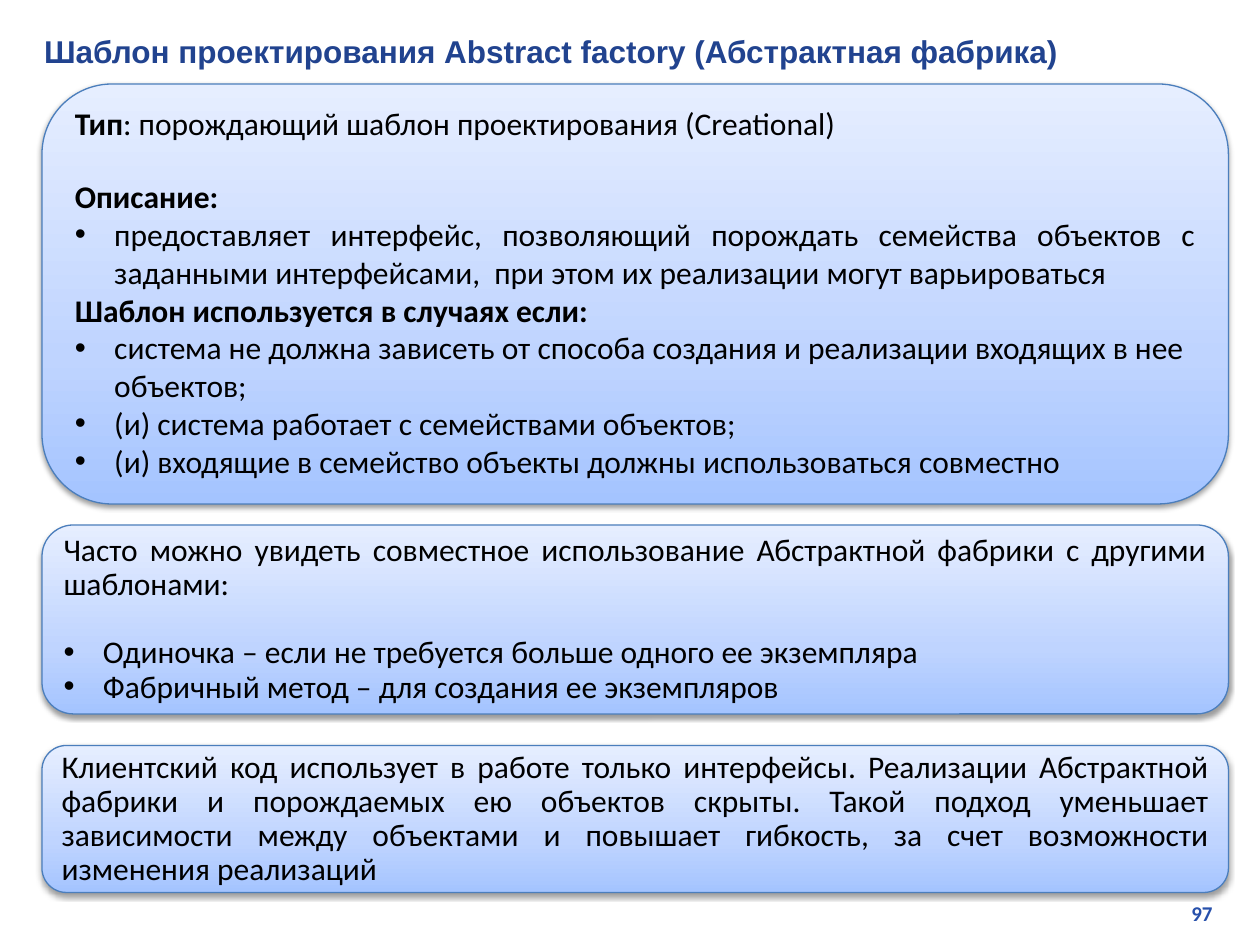
"""Build a slide on the Abstract Factory design pattern."""
from lxml import etree
from pptx import Presentation
from pptx import util as u
from pptx.dml.color import RGBColor
from pptx.enum import shapes, text
from pptx.oxml import ns

BLACK = RGBColor(0x00, 0x00, 0x00)
TITLE_BLUE = RGBColor(0x21, 0x43, 0x8F)
NUMBER_BLUE = RGBColor(0x27, 0x50, 0xAB)
LINE_BLUE = RGBColor(0x4B, 0x7E, 0xBC)
GRADIENT = [
    (0, RGBColor(0xA4, 0xC4, 0xFF)),
    (35, RGBColor(0xBF, 0xD4, 0xFF)),
    (100, RGBColor(0xE6, 0xEE, 0xFF)),
]

TITLE = "Шаблон проектирования Abstract factory (Абстрактная фабрика)"
PAGE_NUMBER = "97"

JUSTIFY, LEFT, RIGHT = text.PP_ALIGN.JUSTIFY, text.PP_ALIGN.LEFT, text.PP_ALIGN.RIGHT
BLANK_LINE = u.Pt(19.8)
INDENT = u.Pt(22.5)
BOX_LEFT, BOX_WIDTH = 24, 678

TITLE_FONT = {"name": "Arial", "size": u.Pt(18), "bold": True}
NUMBER_FONT = {"name": "Calibri", "size": u.Pt(12), "bold": True}
BODY_FONT = {"name": "Calibri", "size": u.Pt(18)}

TIGHT = {"alignment": JUSTIFY, "line_spacing": 0.9}
TIGHT_AFTER_GAP = {**TIGHT, "space_before": BLANK_LINE}
WIDE = {"alignment": JUSTIFY}
WIDE_AFTER_GAP = {**WIDE, "space_before": BLANK_LINE}
RAGGED = {"alignment": LEFT}

BOXES = [
    (48, 240, [
        (TIGHT, False, "Тип", ": порождающий шаблон проектирования (Creational)"),
        (WIDE_AFTER_GAP, False, "Описание:", ""),
        (WIDE, True, "", "предоставляет интерфейс, позволяющий порождать семейства объектов c "
                         "заданными интерфейсами,  при этом их реализации могут варьироваться"),
        (WIDE, False, "Шаблон используется в случаях если:", ""),
        (RAGGED, True, "", "система не должна зависеть от способа создания и реализации "
                           "входящих в нее объектов;"),
        (RAGGED, True, "", "(и) система работает с семействами объектов;"),
        (RAGGED, True, "", "(и) входящие в семейство объекты должны использоваться совместно"),
    ]),
    (300, 108, [
        (TIGHT, False, "", "Часто можно увидеть совместное использование Абстрактной фабрики "
                           "с другими шаблонами:"),
        (TIGHT_AFTER_GAP, True, "", "Одиночка – если не требуется больше одного ее экземпляра"),
        (TIGHT, True, "", "Фабричный метод – для создания ее экземпляров"),
    ]),
    (426, 84, [
        (TIGHT, False, "", "Клиентский код использует в работе только интерфейсы. Реализации "
                           "Абстрактной фабрики и порождаемых ею объектов скрыты. Такой подход "
                           "уменьшает зависимости между объектами и повышает гибкость, за счет "
                           "возможности изменения реализаций"),
    ]),
]


def apply(target, values):
    for name, value in values.items():
        setattr(target, name, value)


def add_child(parent, tag, **attributes):
    child = etree.SubElement(parent, ns.qn(tag))
    for name, value in attributes.items():
        child.set(name, str(value))
    return child


def add_span(para, words, font, color):
    span = para.add_run()
    span.text = words
    apply(span.font, font)
    span.font.color.rgb = color


def add_bullet(para):
    properties = para._p.get_or_add_pPr()
    properties.set("marL", str(INDENT))
    properties.set("indent", str(-INDENT))
    add_child(properties, "a:buFont", typeface="Arial")
    add_child(properties, "a:buChar", char="•")


def style_box(box):
    box.fill.gradient()
    box.fill.gradient_angle = 90
    stops = box._element.spPr.find(".//" + ns.qn("a:gsLst"))
    for stop in list(stops):
        stops.remove(stop)
    for position, color in GRADIENT:
        stop = add_child(stops, "a:gs", pos=position * 1000)
        add_child(stop, "a:srgbClr", val=color)
    box.line.color.rgb = LINE_BLUE
    box.line.width = u.Pt(0.75)
    box.shadow.inherit = False
    effects = box._element.spPr.find(ns.qn("a:effectLst"))
    shadow = add_child(effects, "a:outerShdw", blurRad=u.Pt(3.1), dist=u.Pt(1.6),
                       dir=90 * 60000, rotWithShape=0)
    add_child(add_child(shadow, "a:srgbClr", val=BLACK), "a:alpha", val=38000)


def add_box(page, top, height, paragraphs):
    box = page.shapes.add_shape(shapes.MSO_SHAPE.ROUNDED_RECTANGLE, u.Pt(BOX_LEFT),
                                u.Pt(top), u.Pt(BOX_WIDTH), u.Pt(height))
    style_box(box)
    frame = box.text_frame
    apply(frame, {"word_wrap": True, "vertical_anchor": text.MSO_ANCHOR.MIDDLE})
    for index, (layout, bulleted, strong, plain) in enumerate(paragraphs):
        para = frame.add_paragraph() if index else frame.paragraphs[0]
        apply(para, layout)
        if bulleted:
            add_bullet(para)
        for words, bold in ((strong, True), (plain, False)):
            if words:
                add_span(para, words, {**BODY_FONT, "bold": bold}, BLACK)


def main():
    deck = Presentation()
    apply(deck, {"slide_width": u.Pt(720), "slide_height": u.Pt(540)})
    page = deck.slides.add_slide(deck.slide_layouts[5])

    title = page.shapes.title
    apply(title, {"left": u.Pt(18), "top": u.Pt(14.4),
                  "width": u.Pt(687), "height": u.Pt(28.8)})
    apply(title.text_frame, {"word_wrap": True, "auto_size": text.MSO_AUTO_SIZE.NONE,
                             "vertical_anchor": text.MSO_ANCHOR.MIDDLE})
    para = title.text_frame.paragraphs[0]
    para.alignment = LEFT
    add_span(para, TITLE, TITLE_FONT, TITLE_BLUE)

    for top, height, paragraphs in BOXES:
        add_box(page, top, height, paragraphs)

    number = page.shapes.add_textbox(u.Pt(547), u.Pt(511), u.Pt(153), u.Pt(21.6))
    number.text_frame.word_wrap = True
    para = number.text_frame.paragraphs[0]
    para.alignment = RIGHT
    add_span(para, PAGE_NUMBER, NUMBER_FONT, NUMBER_BLUE)

    deck.save("out.pptx")


if __name__ == "__main__":
    main()
